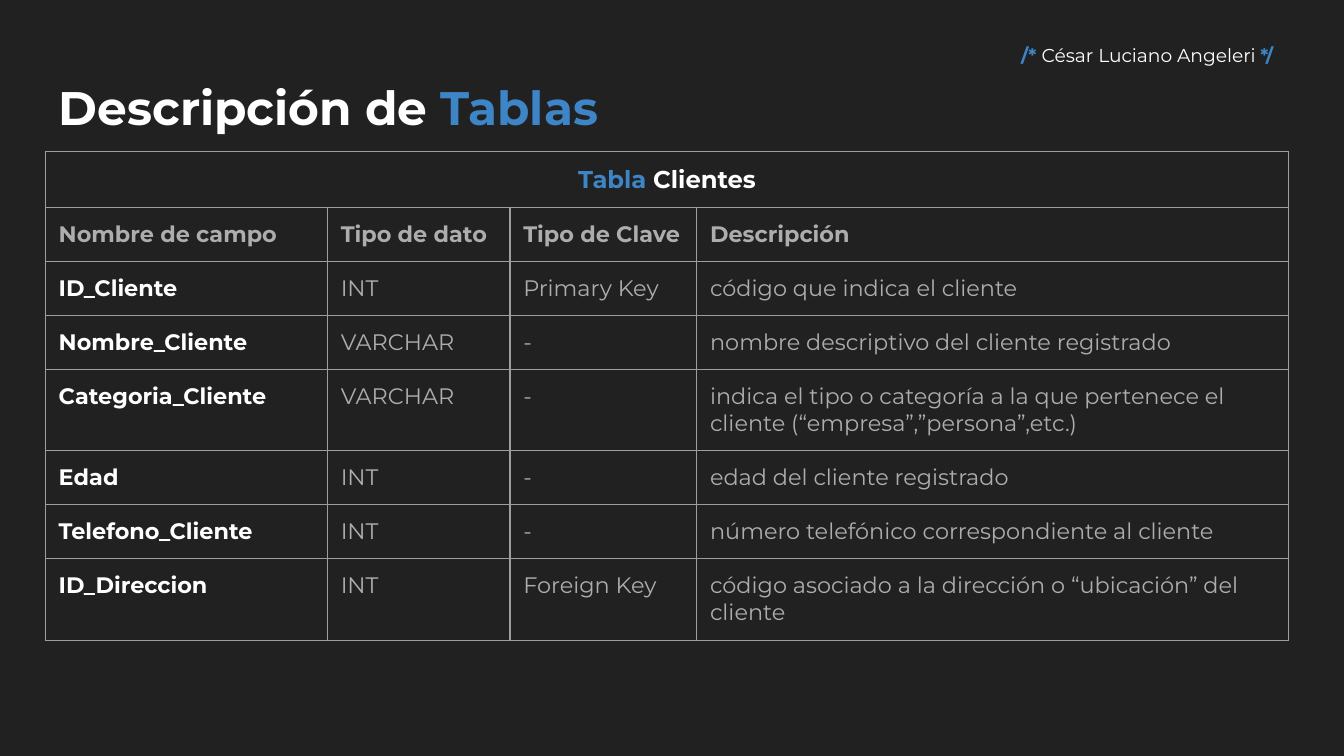
"""Build a slide that describes the fields of the Clientes table."""
from lxml.etree import SubElement
from pptx import Presentation
from pptx.dml.color import RGBColor
from pptx.enum.text import MSO_ANCHOR, MSO_AUTO_SIZE, PP_ALIGN
from pptx.oxml.ns import qn
from pptx.util import Cm, Pt

DARK = RGBColor(0x21, 0x21, 0x21)
WHITE = RGBColor(0xFF, 0xFF, 0xFF)
BLUE = RGBColor(0x3D, 0x85, 0xC6)
GRAY = RGBColor(0xAD, 0xAD, 0xAD)
LINE = RGBColor(0x9E, 0x9E, 0x9E)
INSETS = {f"margin_{side}": Cm(0.25) for side in ("left", "top", "right", "bottom")}


def write(tf, runs, size, align=PP_ALIGN.LEFT):
    p = tf.paragraphs[0]
    p.alignment = align
    for text, color, bold in runs:
        r = p.add_run()
        r.text = text
        r.font.color.rgb = color
        for name, value in {"name": "Montserrat", "size": Pt(size), "bold": bold}.items():
            setattr(r.font, name, value)


def style_cell(cell):
    cell.fill.background()
    for name, value in INSETS.items():
        setattr(cell, name, value)
    tcPr = cell._tc.get_or_add_tcPr()
    for i, tag in enumerate(("a:lnL", "a:lnR", "a:lnT", "a:lnB")):
        ln = tcPr.makeelement(qn(tag), {"w": str(Pt(0.75))})
        fill = SubElement(ln, qn("a:solidFill"))
        SubElement(fill, qn("a:srgbClr"), val=str(LINE))
        tcPr.insert(i, ln)


prs = Presentation()
prs.slide_width, prs.slide_height = Cm(25.4), Cm(14.29)
s = prs.slides.add_slide(prs.slide_layouts[5])
s.background.fill.solid()
s.background.fill.fore_color.rgb = DARK

title = s.shapes.title
author = s.shapes.add_textbox(0, 0, 0, 0)
boxes = [
    (title, (0.86, 1.24, 23.67, 2.54), MSO_ANCHOR.TOP, 25.2, PP_ALIGN.LEFT,
     [("Descripción de ", WHITE, True), ("Tablas", BLUE, True)]),
    (author, (18.82, 0.48, 5.72, 1.14), MSO_ANCHOR.MIDDLE, 10, PP_ALIGN.CENTER,
     [("/* ", BLUE, True), ("César Luciano Angeleri ", WHITE, False), ("*/", BLUE, True)]),
]
for sp, place, anchor, size, align, runs in boxes:
    sp.left, sp.top, sp.width, sp.height = map(Cm, place)
    tf = sp.text_frame
    frame_format = {"word_wrap": True, "auto_size": MSO_AUTO_SIZE.NONE, "vertical_anchor": anchor}
    for name, value in (INSETS | frame_format).items():
        setattr(tf, name, value)
    write(tf, runs, size, align)

fields = [
    ("Nombre de campo", "Tipo de dato", "Tipo de Clave", "Descripción"),
    ("ID_Cliente", "INT", "Primary Key", "código que indica el cliente "),
    ("Nombre_Cliente", "VARCHAR", "-", "nombre descriptivo del cliente registrado"),
    ("Categoria_Cliente", "VARCHAR", "-",
     "indica el tipo o categoría a la que pertenece el cliente (“empresa”,”persona”,etc.)"),
    ("Edad", "INT", "-", "edad del cliente registrado"),
    ("Telefono_Cliente", "INT", "-", "número telefónico correspondiente al cliente"),
    ("ID_Direccion", "INT", "Foreign Key",
     "código asociado a la dirección o “ubicación” del cliente"),
]
widths = [5.33, 3.45, 3.53, 11.18]
heights = [1.06] + [1.54 if len(row[3]) > 50 else 1.02 for row in fields]
table = s.shapes.add_table(len(heights), len(widths), Cm(0.86), Cm(2.86),
                           Cm(sum(widths)), Cm(sum(heights))).table
table.first_row = table.horz_banding = False
for column, width in zip(table.columns, widths):
    column.width = Cm(width)
for row, height in zip(table.rows, heights):
    row.height = Cm(height)
for cell in table.iter_cells():
    style_cell(cell)

heading = table.cell(0, 0)
heading.merge(table.cell(0, len(widths) - 1))
write(heading.text_frame, [("Tabla ", BLUE, True), ("Clientes", WHITE, True)], 13, PP_ALIGN.CENTER)
for i, row in enumerate(fields):
    for j, text in enumerate(row):
        color = WHITE if i > 0 and j == 0 else GRAY
        write(table.cell(i + 1, j).text_frame, [(text, color, i == 0 or j == 0)], 12)

prs.save("out.pptx")
